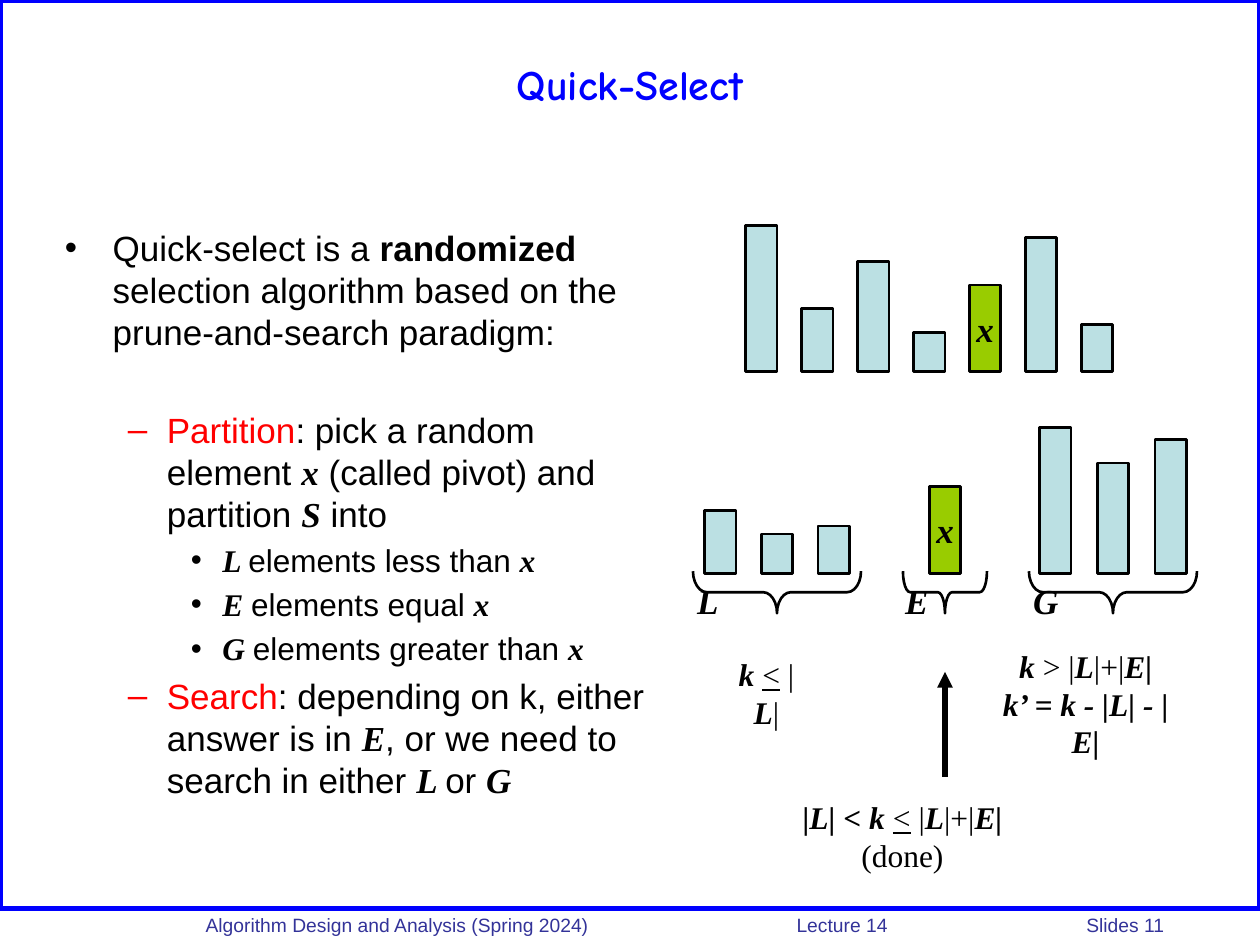
from dataclasses import dataclass

from lxml import etree
from pptx import Presentation
from pptx.dml.color import RGBColor
from pptx.enum.shapes import MSO_CONNECTOR, MSO_SHAPE
from pptx.enum.text import MSO_ANCHOR, PP_ALIGN
from pptx.oxml.ns import qn
from pptx.util import Inches, Pt

RECT, BRACE = MSO_SHAPE.RECTANGLE, MSO_SHAPE.LEFT_BRACE
LINE = MSO_CONNECTOR.STRAIGHT
TOP, MIDDLE = MSO_ANCHOR.TOP, MSO_ANCHOR.MIDDLE
LEFT, CENTER = PP_ALIGN.LEFT, PP_ALIGN.CENTER
COLS, ROWS = 120, 90  # twelve grid cells to the inch


@dataclass(frozen=True)
class Theme:
    sans: str = "Arial"
    serif: str = "Times New Roman"
    head: str = "Comic Neue"
    ink: str = "000000"
    blue: str = "0000FF"
    navy: str = "333399"
    red: str = "FF0000"
    bar: str = "BBE0E3"
    pivot: str = "99CC00"
    title: int = 24
    body: int = 20
    small: int = 18
    foot: int = 11


T = Theme()
STYLES = {
    "plain": {},
    "bold": {"bold": True},
    "key": {"color": T.red},
    "var": {"font": T.serif, "bold": True, "italic": True},
    "math": {"font": T.serif},
    "under": {"font": T.serif, "under": True},
}
# Level: bullet, left margin, hanging indent (inches), type size
LEVELS = [("•", 0.38, 0.38, T.body), ("–", 0.81, 0.31, T.body),
          ("•", 1.25, 0.25, T.small)]

POINTS = [
    (0, [("Quick-select is a ", "plain"), ("randomized", "bold"),
         (" selection algorithm based on the prune-and-search paradigm:", "plain")]),
    (1, [("Partition", "key"), (": pick a random element ", "plain"), ("x", "var"),
         (" (called pivot) and partition ", "plain"), ("S", "var"), (" into", "plain")]),
    (2, [("L ", "var"), ("elements less than ", "plain"), ("x", "var")]),
    (2, [("E ", "var"), ("elements equal ", "plain"), ("x", "var")]),
    (2, [("G ", "var"), ("elements greater than ", "plain"), ("x", "var")]),
    (1, [("Search", "key"), (": depending on k, either answer is in ", "plain"),
         ("E", "var"), (", or we need to search in either ", "plain"),
         ("L ", "var"), ("or ", "plain"), ("G", "var")]),
]
SUM = [("L", "var"), ("|+|", "math"), ("E|", "var")]
NOTES = [
    ((68, 63, 10, 6), [[("k ", "var"), ("<", "under"), (" |", "math"),
                        ("L", "var"), ("|", "math")]]),
    ((75.2, 74.2, 21.5, 10.8), [[("|L| < k ", "var"), ("<", "under"),
                                 (" |", "math"), *SUM], [("(done)", "math")]]),
    ((93, 61.6, 20.8, 10.8), [[("k ", "var"), ("> |", "math"), *SUM],
                              [("k’ = k - |L| - |E|", "var")]]),
]


def cells(*counts):
    return [Inches(n / 12) for n in counts]


def rgb(code):
    return RGBColor.from_string(code)


def write(para, text, font=T.sans, size=T.body, color=T.ink,
          bold=False, italic=False, under=False):
    run = para.add_run()
    run.text = text
    face = run.font
    face.name, face.size, face.color.rgb = font, Pt(size), rgb(color)
    face.bold, face.italic, face.underline = bold, italic, under


def write_all(para, runs, size):
    for text, style in runs:
        write(para, text, size=size, **STYLES[style])


def setup(frame, wrap=False, anchor=MIDDLE, align=CENTER):
    """Format a text frame and return its first paragraph."""
    frame.word_wrap, frame.vertical_anchor = wrap, anchor
    para = frame.paragraphs[0]
    para.alignment = align
    return para


def add_box(slide, place, **form):
    frame = slide.shapes.add_textbox(*cells(*place)).text_frame
    return frame, setup(frame, **form)


def add_form(slide, kind, place, fill=None, color=T.ink, width=1.5):
    form = slide.shapes.add_shape(kind, *cells(*place))
    form.shadow.inherit = False
    if fill:
        form.fill.solid()
        form.fill.fore_color.rgb = rgb(fill)
    else:
        form.fill.background()
    form.line.color.rgb, form.line.width = rgb(color), Pt(width)
    return form


def add_bars(slide, left, base, step, sizes, pivot=None):
    """Stand bars on a base row; the one at index pivot is marked x."""
    for i, size in enumerate(sizes):
        fill = T.pivot if i == pivot else T.bar
        bar = add_form(slide, RECT, (left + i * step, base - size, 3, size), fill)
        if i == pivot:
            write_all(setup(bar.text_frame), [("x", "var")], T.body)


def add_brace(slide, label, mid, span, curve):
    """Draw a brace that opens upward, centred on column mid."""
    form = add_form(slide, BRACE, (mid - 2, 56.4 - span / 2, 4, span))
    form.rotation = 270
    form.adjustments[0] = curve
    frame = form.text_frame
    para = setup(frame, anchor=TOP)
    frame.margin_left, frame.margin_right = Inches(0.1), Inches(0.6)
    frame.margin_top = frame.margin_bottom = 0
    frame._txBody.bodyPr.set("vert", "eaVert")
    write_all(para, [(label, "var")], T.body)


def add_arrow(slide, start, end):
    line = slide.shapes.add_connector(LINE, *cells(*start, *end))
    line.line.color.rgb, line.line.width = rgb(T.ink), Pt(3)
    etree.SubElement(line.line._get_or_add_ln(), qn("a:tailEnd"), type="triangle")
    etree.SubElement(line._element.spPr, qn("a:effectLst"))


def set_title(slide):
    title = slide.shapes.title
    title.left, title.top, title.width, title.height = cells(6, 2, 108, 12)
    write(setup(title.text_frame, wrap=True), "Quick-Select", font=T.head,
          size=T.title, color=T.blue, bold=True)


def add_points(slide):
    frame, para = add_box(slide, (5, 21, 59, 60), wrap=True, anchor=TOP, align=LEFT)
    for i, (level, runs) in enumerate(POINTS):
        mark, left, hang, size = LEVELS[level]
        if i:
            para = frame.add_paragraph()
            para.space_before = Pt(32 if i == 1 else size / 5)
        para.level = level
        props = para._p.get_or_add_pPr()
        props.set("marL", str(Inches(left)))
        props.set("indent", str(-Inches(hang)))
        etree.SubElement(props, qn("a:buFont"), typeface=T.sans)
        etree.SubElement(props, qn("a:buChar"), char=mark)
        write_all(para, runs, size)


def add_foot(slide):
    _, para = add_box(slide, (18.4, 86.4, 101, 3.1), anchor=TOP, align=LEFT, wrap=True)
    tabs = etree.SubElement(para._p.get_or_add_pPr(), qn("a:tabLst"))
    for stop in (4.69, 6.99):
        etree.SubElement(tabs, qn("a:tab"), pos=str(Inches(stop)), algn="l")
    write(para, "Algorithm Design and Analysis (Spring 2024)\tLecture 14\tSlides 11",
          size=T.foot, color=T.navy)


def add_notes(slide):
    for place, lines in NOTES:
        frame, para = add_box(slide, place)
        for i, runs in enumerate(lines):
            if i:
                para = frame.add_paragraph()
                para.alignment = CENTER
            write_all(para, runs, T.small)


def main():
    deck = Presentation()
    deck.slide_width, deck.slide_height = cells(COLS, ROWS)
    slide = deck.slides.add_slide(deck.slide_layouts[5])
    add_form(slide, RECT, (0, 0, COLS, 86.5), color=T.blue, width=3)
    add_foot(slide)
    set_title(slide)
    add_points(slide)
    add_bars(slide, 71, 35.4, 5.33, (13.9, 6, 10.5, 3.75, 8.25, 12.75, 4.5), pivot=4)
    add_bars(slide, 67.1, 54.6, 5.4, (6, 3.75, 4.5))
    add_bars(slide, 88.5, 54.6, 0, (8.25,), pivot=0)
    add_bars(slide, 99, 54.6, 5.5, (13.9, 10.5, 12.75))
    for label, mid, span, curve in (("L", 74, 16, 0.33), ("E", 90, 8, 0.17),
                                    ("G", 106, 16, 0.33)):
        add_brace(slide, label, mid, span, curve)
    add_notes(slide)
    add_arrow(slide, (90, 74), (90, 64))
    deck.save("out.pptx")


if __name__ == "__main__":
    main()
